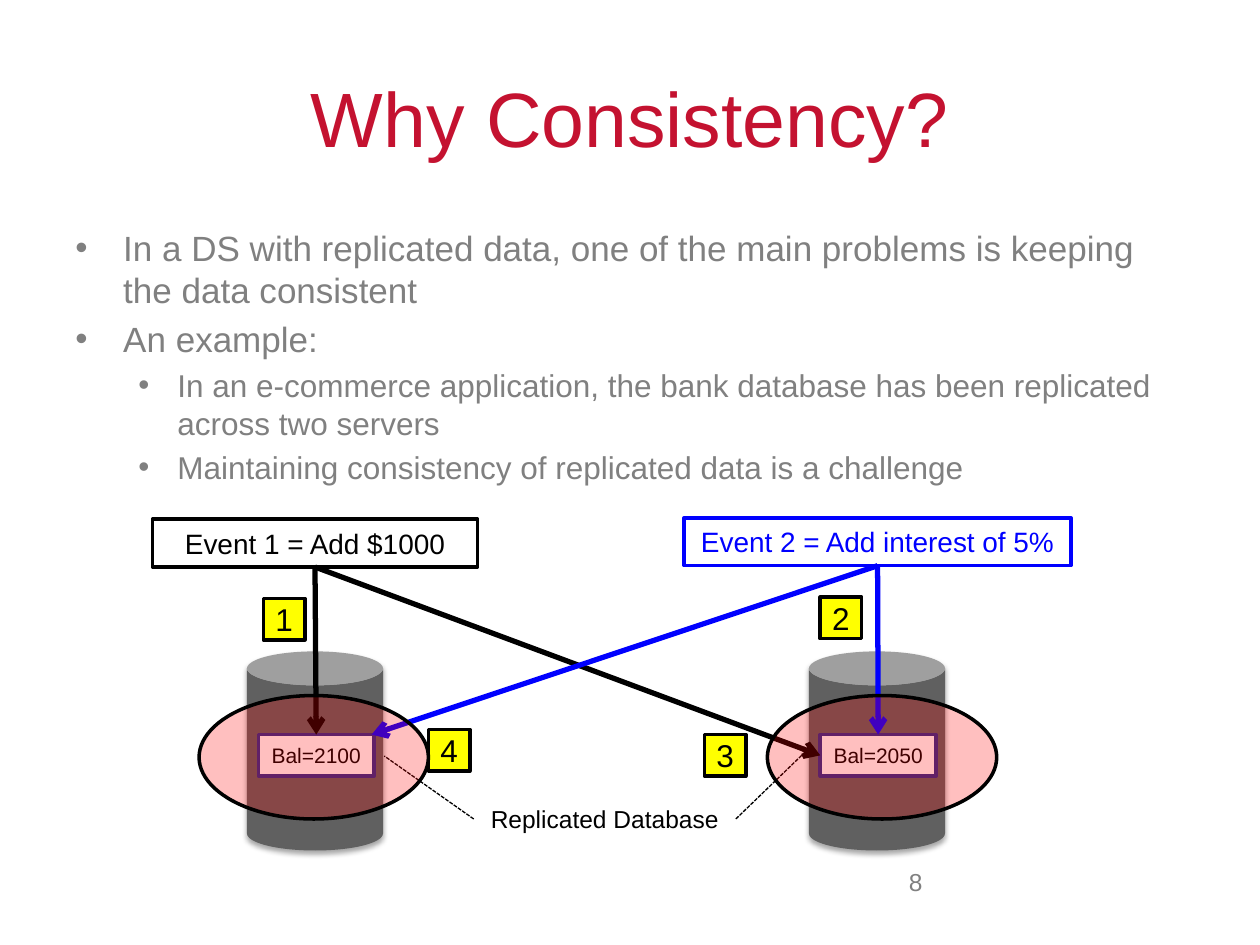
from lxml.etree import SubElement
from pptx import Presentation
from pptx.dml.color import RGBColor
from pptx.enum.dml import MSO_LINE
from pptx.enum.shapes import MSO_CONNECTOR, MSO_SHAPE
from pptx.enum.text import MSO_ANCHOR, PP_ALIGN
from pptx.oxml import parse_xml
from pptx.oxml.ns import nsdecls, qn
from pptx.util import Inches, Pt

RED = RGBColor(0xC4, 0x12, 0x30)
GREY = RGBColor(0x80, 0x80, 0x80)
DARK = RGBColor(0x60, 0x60, 0x60)
BLACK = RGBColor(0, 0, 0)
WHITE = RGBColor(255, 255, 255)
BLUE = RGBColor(0, 0, 255)
NAVY = RGBColor(0x2D, 0x2D, 0x8A)
YELLOW = RGBColor(255, 255, 0)
PINK = RGBColor(255, 0, 0)

POINTS = [
    (0, "In a DS with replicated data, one of the main problems is keeping the data consistent"),
    (0, "An example:"),
    (1, "In an e-commerce application, the bank database has been replicated across two servers"),
    (1, "Maintaining consistency of replicated data is a challenge"),
]
LEVELS = [(0.38, 0.38, 20), (0.81, 0.31, 18)]
BADGES = [("1", 2.09, 4.75), ("2", 6.51, 4.74), ("3", 5.59, 5.83), ("4", 3.4, 5.79)]
SHADOW = (
    f'<a:effectLst {nsdecls("a")}><a:outerShdw blurRad="{Pt(3.1)}" dist="{Pt(1.8)}" '
    'dir="5400000" rotWithShape="0"><a:srgbClr val="000000"><a:alpha val="35000"/>'
    '</a:srgbClr></a:outerShdw></a:effectLst>'
)


def apply(item, **values):
    """Set each given value as an attribute of the item."""
    for name, value in values.items():
        setattr(item, name, value)


def style(para, size, color):
    """Set the font of a paragraph."""
    apply(para.font, name="Arial", size=Pt(size))
    para.font.color.rgb = color


def place(item, box):
    """Move an item to a box given in inches."""
    apply(item, **dict(zip(("left", "top", "width", "height"), map(Inches, box))))


def add_title(slide, text):
    """Fill and place the title."""
    title = slide.shapes.title
    place(title, (0.5, 0.3, 9, 1.25))
    title.text_frame.vertical_anchor = MSO_ANCHOR.MIDDLE
    para = title.text_frame.paragraphs[0]
    para.text = text
    para.alignment = PP_ALIGN.CENTER
    style(para, 44, RED)


def add_list(slide, box, points):
    """Add a bulleted list with two levels."""
    frame = slide.shapes.add_textbox(*map(Inches, box)).text_frame
    frame.word_wrap = True
    for i, (level, text) in enumerate(points):
        para = frame.add_paragraph() if i else frame.paragraphs[0]
        left, hang, size = LEVELS[level]
        para.text = text
        apply(para, level=level, space_before=Pt(size * 0.2 if i else 0))
        props = para._p.get_or_add_pPr()
        props.set("marL", str(Inches(left)))
        props.set("indent", str(-Inches(hang)))
        SubElement(props, qn("a:buFont")).set("typeface", "Arial")
        SubElement(props, qn("a:buChar")).set("char", "•")
        style(para, size, GREY)


def add_text(slide, text, box, size, color, align):
    """Add one line of plain text."""
    frame = slide.shapes.add_textbox(*map(Inches, box)).text_frame
    frame.word_wrap = True
    para = frame.paragraphs[0]
    apply(para, text=text, alignment=align)
    style(para, size, color)


def add_shape(slide, kind, box, fill, line=None):
    """Add a filled shape, outlined if a line colour is given."""
    shape = slide.shapes.add_shape(kind, *map(Inches, box))
    shape.shadow.inherit = False
    shape.fill.solid()
    shape.fill.fore_color.rgb = fill
    if line is None:
        shape.line.fill.background()
    else:
        shape.line.color.rgb = line
        shape.line.width = Pt(2)
    return shape


def add_label(slide, text, box, fill, line, size, color=BLACK):
    """Add a rectangle with centred text."""
    shape = add_shape(slide, MSO_SHAPE.RECTANGLE, box, fill, line)
    frame = shape.text_frame
    apply(frame, margin_left=0, margin_right=0, margin_top=0, margin_bottom=0,
          word_wrap=True, vertical_anchor=MSO_ANCHOR.MIDDLE)
    para = frame.paragraphs[0]
    apply(para, text=text, alignment=PP_ALIGN.CENTER)
    style(para, size, color)
    return shape


def add_can(slide, left):
    """Add a database can with a soft shadow."""
    can = add_shape(slide, MSO_SHAPE.CAN, (left, 5.17, 1.08, 1.58), DARK)
    props = can._element.spPr
    props.replace(props.find(qn("a:effectLst")), parse_xml(SHADOW))


def add_halo(slide, left):
    """Add a see-through ellipse around a balance."""
    halo = add_shape(slide, MSO_SHAPE.OVAL, (left, 5.52, 1.82, 0.98), PINK, BLACK)
    tint = halo._element.spPr.find(qn("a:solidFill"))[0]
    SubElement(tint, qn("a:alpha")).set("val", "25000")


def add_line(slide, start, end, color, width):
    """Add a straight line without shadow."""
    line = slide.shapes.add_connector(MSO_CONNECTOR.STRAIGHT, *map(Inches, start + end))
    line.line.color.rgb = color
    line.line.width = Pt(width)
    SubElement(line._element.spPr, qn("a:effectLst"))
    return line


def add_arrow(slide, source, end, color, target=None, side=0):
    """Add an arrow from below a box to a point or a box side."""
    arrow = add_line(slide, (0, 0), end, color, 3)
    arrow.begin_connect(source, 2)
    if target is not None:
        arrow.end_connect(target, side)
    SubElement(arrow.line._get_or_add_ln(), qn("a:tailEnd")).set("type", "arrow")


def add_dash(slide, start, end):
    """Add a thin dashed leader line."""
    line = add_line(slide, start, end, BLACK, 0.75)
    line.line.dash_style = MSO_LINE.SQUARE_DOT


def main():
    """Build the slide and save it."""
    deck = Presentation()
    apply(deck, slide_width=Inches(10), slide_height=Inches(7.5))
    slide = deck.slides.add_slide(deck.slide_layouts[5])

    add_title(slide, "Why Consistency?")
    add_list(slide, (0.5, 1.75, 9, 2.3), POINTS)
    add_text(slide, "8", (6.5, 6.83, 0.92, 0.52), 14, GREY, PP_ALIGN.RIGHT)

    for left in (1.96, 6.42):
        add_can(slide, left)
    add_text(slide, "Replicated Database", (3.76, 6.33, 2.08, 0.34), 14, BLACK, PP_ALIGN.CENTER)
    add_dash(slide, (3.76, 6.5), (3.05, 6))
    add_dash(slide, (5.84, 6.5), (6.42, 5.94))

    first = add_label(slide, "Event 1 = Add $1000", (1.21, 4.12, 2.58, 0.38), WHITE, BLACK, 16)
    second = add_label(slide, "Event 2 = Add interest of 5%", (5.43, 4.11, 3.07, 0.38),
                       WHITE, BLUE, 16, BLUE)
    near, far = [
        add_label(slide, text, (left, 5.83, 0.92, 0.33), WHITE, NAVY, 12)
        for text, left in (("Bal=2100", 2.05), ("Bal=2050", 6.51))
    ]
    add_arrow(slide, first, (2.51, 5.83), BLACK, near)
    add_arrow(slide, first, (6.51, 6), BLACK, far, 1)
    add_arrow(slide, second, (6.96, 5.83), BLUE, far)
    add_arrow(slide, second, (2.95, 5.83), BLUE)

    for text, left, top in BADGES:
        add_label(slide, text, (left, top, 0.33, 0.33), YELLOW, BLACK, 18)
    for left in (1.58, 6.09):
        add_halo(slide, left)
    deck.save("out.pptx")


if __name__ == "__main__":
    main()
